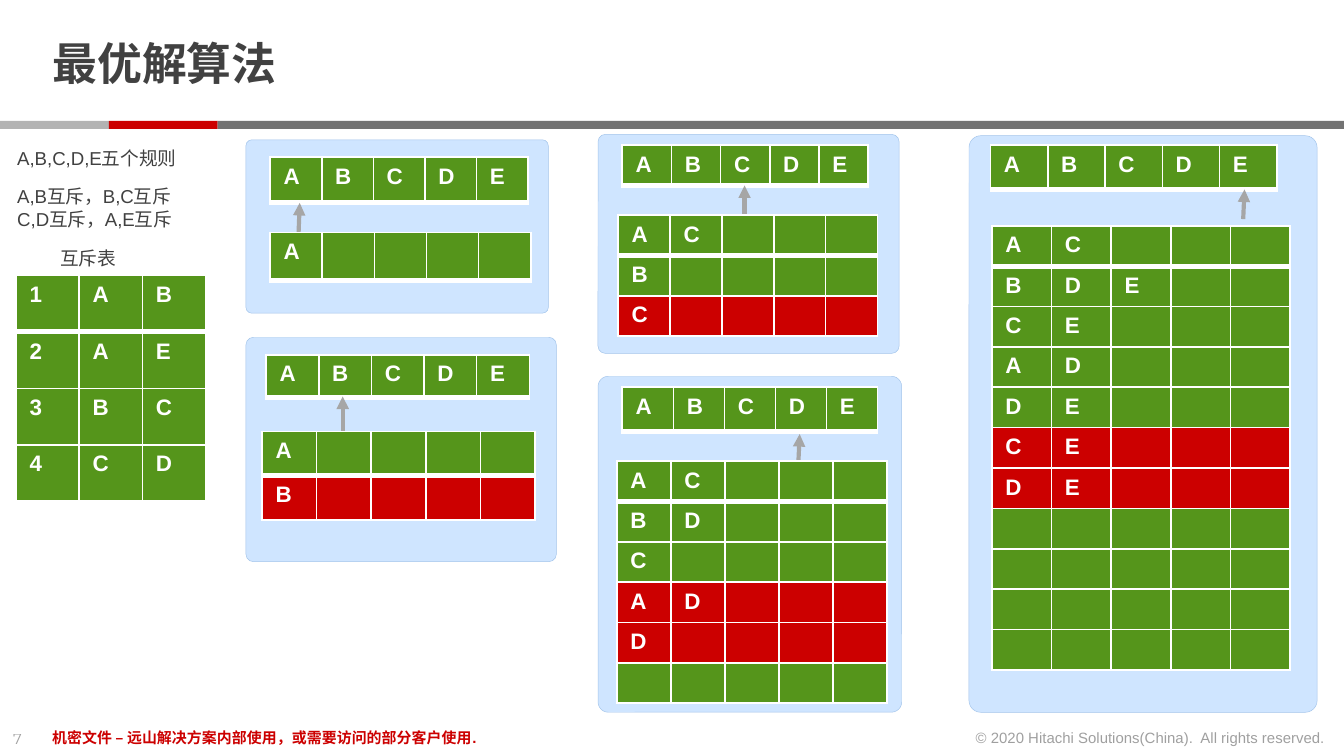
from lxml import etree
from pptx import Presentation
from pptx.dml.color import RGBColor
from pptx.enum import shapes, text
from pptx.oxml import ns
from pptx.util import Inches, Pt

WIDTH = 10
HEIGHT = WIDTH * 9 / 16
GREEN, RED, WHITE, INK = "55951B", "CC0000", "FFFFFF", "414141"
LETTERS = "ABCDE"
TITLE = "最优解算法"
BAND = [("B3B3B3", 0, 0.81), (RED, 0.81, 0.81), ("737373", 1.62, 8.38)]
LABELS = [
    ((0.03, 1.04, 1.44, 0.27), False, ["A,B,C,D,E五个规则"]),
    ((0.03, 1.33, 1.46, 0.44), True, ["A,B互斥，B,C互斥", "C,D互斥，A,E互斥"]),
    ((0.35, 1.79, 0.62, 0.27), False, ["互斥表"]),
]
FOOTERS = [
    ((0, 5.38, 0.34, 0.24), False, "7", "LEFT", 50,
     {"name": "Montserrat", "size": Pt(8)}, INK),
    ((0.29, 5.37, 6.74, 0.24), True,
     "机密文件 – 远山解决方案内部使用，或需要访问的部分客户使用.", "LEFT", 100,
     {"name": "Arial", "size": Pt(8), "bold": True}, RED),
    ((7.12, 5.37, 2.84, 0.24), False,
     "© 2020 Hitachi Solutions(China).  All rights reserved.", "RIGHT", 50,
     {"name": "Arial", "size": Pt(8)}, INK),
]
EXCLUSIONS = ["1AB", "2AE", "3BC", "4CD"]
STEPS = [
    {"panel": (1.83, 1.04, 2.25, 1.29), "header": (2.01, 1.17, 1.92, 0.34),
     "arrow": (2.22, 1.78, 2.23, 1.51), "grid": (2.01, 1.73, 1.94, 0.36),
     "rows": ["A"], "rejected": []},
    {"panel": (1.83, 2.51, 2.31, 1.67), "header": (1.98, 2.64, 1.96, 0.32),
     "arrow": (2.55, 3.23, 2.55, 2.95), "grid": (1.95, 3.21, 2.03, 0.33),
     "rows": ["A", "B"], "rejected": [1]},
    {"panel": (4.45, 1, 2.24, 1.63), "header": (4.63, 1.08, 1.83, 0.3),
     "arrow": (5.54, 1.61, 5.54, 1.38), "grid": (4.6, 1.6, 1.93, 0.3),
     "rows": ["AC", "B", "C"], "rejected": [2]},
    {"panel": (4.45, 2.8, 2.26, 2.5), "header": (4.63, 2.88, 1.9, 0.33),
     "arrow": (5.94, 3.45, 5.95, 3.23), "grid": (4.59, 3.43, 2.01, 0.3),
     "rows": ["AC", "BD", "C", "AD", "D", ""], "rejected": [3, 4]},
    {"panel": (7.21, 1.01, 2.59, 4.29), "header": (7.37, 1.08, 2.13, 0.33),
     "arrow": (9.25, 1.63, 9.26, 1.41), "grid": (7.38, 1.68, 2.22, 0.3),
     "rows": ["AC", "BDE", "CE", "AD", "DE", "CE", "DE", "", "", "", ""],
     "rejected": [5, 6]},
]
CELL_FONT = {"name": "Arial", "size": Pt(12), "bold": True}
LABEL_FONT = {"name": "Arial", "size": Pt(10)}
TITLE_FONT = {"name": "Montserrat", "size": Pt(24), "bold": True}


def inches(values):
    return [Inches(value) for value in values]


def paint(fill, colour, opacity=100):
    fill.solid()
    fill.fore_color.rgb = RGBColor.from_string(colour)
    if opacity < 100:
        for tint in fill._xPr.iter(ns.qn("a:srgbClr")):
            etree.SubElement(tint, ns.qn("a:alpha"), val=str(opacity * 1000))


def apply(target, values):
    for name, value in values.items():
        setattr(target, name, value)


def write(para, words, font, colour, opacity=100):
    span = para.add_run()
    span.text = words
    apply(span.font, font)
    paint(span.font.fill, colour, opacity)


def add_box(page, place, wrap):
    box = page.shapes.add_textbox(*inches(place))
    apply(box.text_frame, {"word_wrap": wrap,
                           "auto_size": text.MSO_AUTO_SIZE.SHAPE_TO_FIT_TEXT})
    return box


def add_block(page, kind, place, colour, opacity=100):
    block = page.shapes.add_shape(kind, *inches(place))
    block.shadow.inherit = False
    paint(block.fill, colour, opacity)
    block.line.fill.background()
    return block


def add_panel(page, place):
    panel = add_block(page, shapes.MSO_SHAPE.ROUNDED_RECTANGLE, place, "B3D7FF", 63)
    panel.adjustments[0] = 0.034
    paint(panel.line.fill, "A3C4EA")
    panel.line.width = Pt(0.25)


def add_arrow(page, ends):
    arrow = page.shapes.add_connector(shapes.MSO_CONNECTOR.STRAIGHT, *inches(ends))
    paint(arrow.line.fill, "A6A6A6")
    arrow.line.width = Pt(2.25)
    etree.SubElement(arrow.line._get_or_add_ln(), ns.qn("a:tailEnd"), type="triangle")
    etree.SubElement(arrow._element.spPr, ns.qn("a:effectLst"))


def add_borders(cell, bottom):
    properties = cell._tc.get_or_add_tcPr()
    for side, width in {"L": 1, "R": 1, "T": 1, "B": bottom}.items():
        line = etree.SubElement(properties, ns.qn(f"a:ln{side}"), w=str(Pt(width)))
        solid = etree.SubElement(line, ns.qn("a:solidFill"))
        etree.SubElement(solid, ns.qn("a:srgbClr"), val=WHITE)


def add_grid(page, place, rows, columns=5, rejected=()):
    left, top, width, row_height = place
    frame = page.shapes.add_table(
        len(rows), columns, *inches((left, top, width, row_height * len(rows))))
    table = frame.table
    apply(table, {"first_row": False, "horz_banding": False})
    for column in table.columns:
        column.width = Inches(width / columns)
    for number, letters in enumerate(rows):
        table.rows[number].height = Inches(row_height)
        for place_in_row, cell in enumerate(table.rows[number].cells):
            add_borders(cell, 1 if number else 3)
            paint(cell.fill, RED if number in rejected else GREEN)
            para = cell.text_frame.paragraphs[0]
            if place_in_row < len(letters):
                write(para, letters[place_in_row], CELL_FONT, WHITE)
            else:
                etree.SubElement(para._p, ns.qn("a:endParaRPr"), sz="1200")


def add_title(page):
    title = page.shapes.title
    apply(title, dict(zip(("left", "top", "width", "height"),
                          inches((0.29, 0.13, 7.71, 0.73)))))
    apply(title.text_frame, {
        "margin_top": 0, "margin_bottom": 0, "word_wrap": True,
        "auto_size": text.MSO_AUTO_SIZE.NONE,
        "vertical_anchor": text.MSO_ANCHOR.MIDDLE})
    para = title.text_frame.paragraphs[0]
    apply(para, {"alignment": text.PP_ALIGN.LEFT, "line_spacing": 0.85})
    write(para, TITLE, TITLE_FONT, INK)


def main():
    deck = Presentation()
    apply(deck, {"slide_width": Inches(WIDTH), "slide_height": Inches(HEIGHT)})
    page = deck.slides.add_slide(deck.slide_layouts[5])
    add_title(page)
    for colour, left, width in BAND:
        add_block(page, shapes.MSO_SHAPE.RECTANGLE, (left, 0.9, width, 0.06), colour)
    for place, wrap, words, side, opacity, font, colour in FOOTERS:
        para = add_box(page, place, wrap).text_frame.paragraphs[0]
        para.alignment = text.PP_ALIGN[side]
        write(para, words, font, colour, opacity)
    for place, wrap, lines in LABELS:
        box = add_box(page, place, wrap)
        paint(box.fill, WHITE)
        for number, words in enumerate(lines):
            frame = box.text_frame
            para = frame.add_paragraph() if number else frame.paragraphs[0]
            write(para, words, LABEL_FONT, INK)
    add_grid(page, (0.12, 2.05, 1.41, 0.42), EXCLUSIONS, columns=3)
    for step in STEPS:
        add_panel(page, step["panel"])
        add_grid(page, step["header"], [LETTERS])
        add_arrow(page, step["arrow"])
        add_grid(page, step["grid"], step["rows"], rejected=step["rejected"])
    deck.save("out.pptx")


if __name__ == "__main__":
    main()
